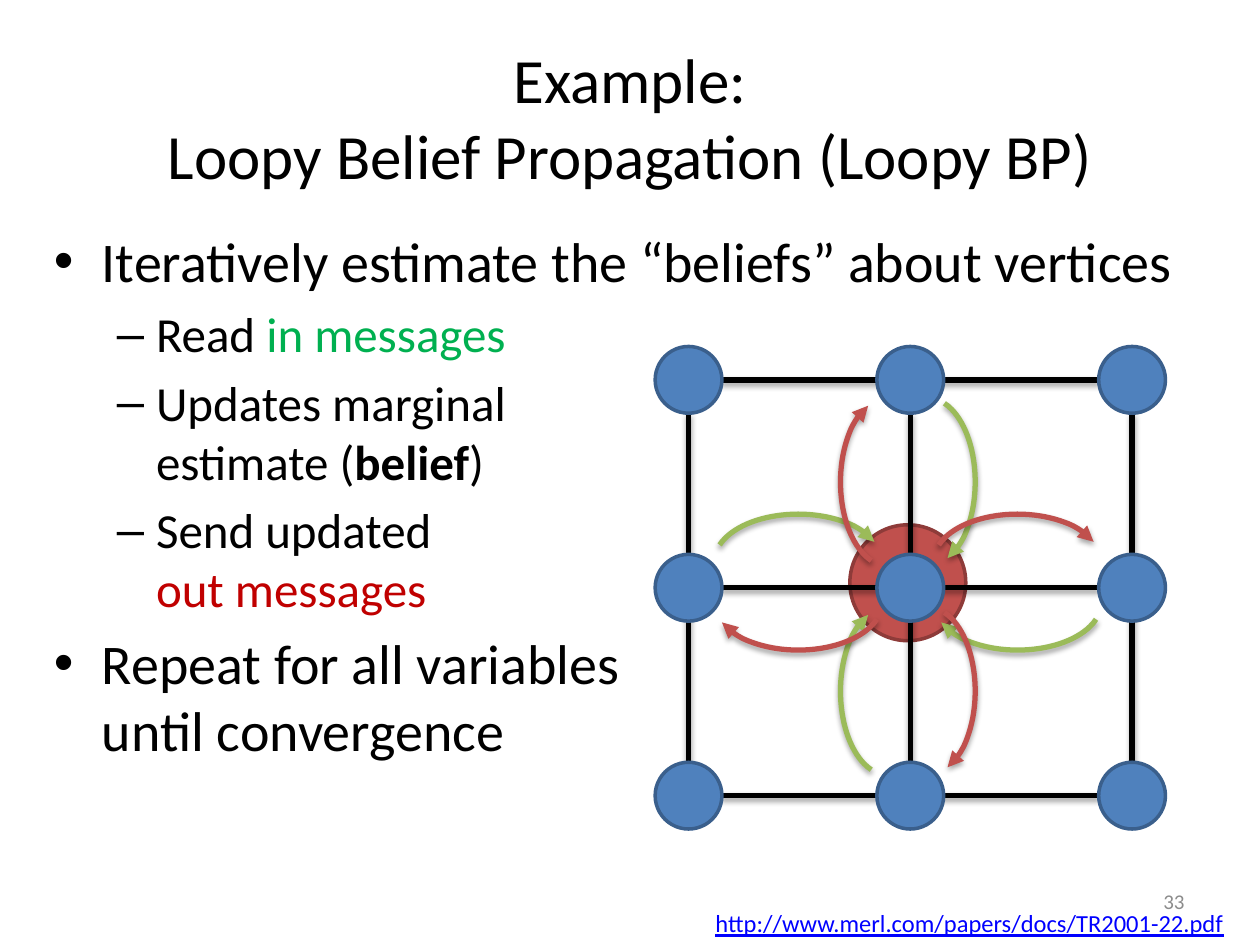
from lxml import etree
from pptx import Presentation
from pptx.dml.color import RGBColor
from pptx.enum import shapes as es, text as et
from pptx.oxml.ns import qn
from pptx.util import Emu, Inches, Pt

BLACK = RGBColor(0, 0, 0)
BLUE = RGBColor(0x4F, 0x81, 0xBD)
NAVY = RGBColor(0x3A, 0x5F, 0x8C)
RED = RGBColor(0xC0, 0x50, 0x4D)
DARK = RGBColor(0x8E, 0x3B, 0x39)
GREEN = RGBColor(0x9B, 0xBB, 0x59)
IN = RGBColor(0, 0xB0, 0x50)
OUT = RGBColor(0xC0, 0, 0)
GREY = RGBColor(0x8C, 0x8C, 0x8C)
LINK = RGBColor(0, 0, 0xFF)

FONT = "Calibri"
LEVELS = [("•", 0.38, 0.38, 32), ("–", 0.81, 0.31, 28)]  # mark, margin, hang, size


def write(para, text, size, color=BLACK, bold=False, underline=False):
    """Add text to a paragraph; a newline becomes a line break."""
    for i, line in enumerate(text.split("\n")):
        if i:
            para.add_line_break()
        if line:
            run = para.add_run()
            run.text = line
            font = run.font
            font.name, font.size = FONT, Pt(size)
            font.bold, font.underline = bold, underline
            font.color.rgb = color


def frame(slide, box, anchor=et.MSO_ANCHOR.TOP):
    tf = slide.shapes.add_textbox(*map(Inches, box)).text_frame
    tf.word_wrap = True
    tf.vertical_anchor = anchor
    return tf


def label(slide, box, text, size, align=et.PP_ALIGN.LEFT,
          anchor=et.MSO_ANCHOR.MIDDLE, **style):
    para = frame(slide, box, anchor).paragraphs[0]
    para.alignment = align
    write(para, text, size, **style)


def bullets(slide, box, items):
    tf = frame(slide, box)
    for i, (level, runs) in enumerate(items):
        para = tf.add_paragraph() if i else tf.paragraphs[0]
        mark, left, hang, size = LEVELS[level]
        para.level = level
        para.space_before = Pt(size * 0.2 if i else 0)
        props = para._p.get_or_add_pPr()
        props.set("marL", str(Inches(left)))
        props.set("indent", str(-Inches(hang)))
        etree.SubElement(props, qn("a:buFont"), typeface="Arial")
        etree.SubElement(props, qn("a:buChar"), char=mark)
        for text, style in runs:
            write(para, text, size, **style)


def shade(sppr):
    """Give a line or arc its soft shadow straight below."""
    effects = sppr.find(qn("a:effectLst"))
    if effects is None:
        effects = etree.SubElement(sppr, qn("a:effectLst"))
    drop = etree.SubElement(effects, qn("a:outerShdw"), blurRad=str(Pt(3.1)),
                            dist=str(Pt(1.8)), dir="5400000", rotWithShape="0")
    tint = etree.SubElement(drop, qn("a:srgbClr"), val="000000")
    etree.SubElement(tint, qn("a:alpha"), val="35000")


def edge(slide, x1, y1, x2, y2):
    line = slide.shapes.add_connector(
        es.MSO_CONNECTOR.STRAIGHT, *map(Inches, (x1, y1, x2, y2)))
    line.line.color.rgb = BLACK
    line.line.width = Pt(3)
    shade(line._element.spPr)


def disc(slide, x, y, size, fill, rim):
    """Draw a circle around its centre."""
    dot = slide.shapes.add_shape(
        es.MSO_SHAPE.OVAL, Inches(x - size / 2), Inches(y - size / 2),
        Inches(size), Inches(size))
    dot.shadow.inherit = False
    dot.fill.solid()
    dot.fill.fore_color.rgb = fill
    dot.line.color.rgb = rim
    dot.line.width = Pt(2)


def arrows(slide, hub, color, turns):
    """Draw one group of curved messages; turns maps a side to its rotation."""
    group = slide.shapes.add_group_shape()
    wide, high = 0.75, 1.33
    for (dx, dy), turn in turns.items():
        arc = group.shapes.add_shape(
            es.MSO_SHAPE.ARC, Inches(hub[0] + dx - wide / 2),
            Inches(hub[1] + dy - high / 2), Inches(wide), Inches(high))
        arc.adjustments[0], arc.adjustments[1] = 169.09, 45.37
        arc.rotation = turn
        arc.fill.background()
        arc.line.color.rgb = color
        arc.line.width = Pt(3)
        etree.SubElement(arc.line._get_or_add_ln(), qn("a:tailEnd"),
                         type="triangle")
        arc.shadow.inherit = False
        shade(arc._element.spPr)


def graph(slide, box, node=0.53, count=3):
    left, top, wide, high = box
    xs = [left + node / 2 + i * (wide - node) / (count - 1) for i in range(count)]
    ys = [top + node / 2 + i * (high - node) / (count - 1) for i in range(count)]
    hub = (xs[1] - 0.02, ys[1] - 0.04)
    rim = node / 2

    # Highlight, edges, then nodes
    disc(slide, *hub, 0.92, RED, DARK)
    for y in ys:
        edge(slide, xs[0] + rim, y, xs[-1] - rim, y)
    for x in xs:
        edge(slide, x, ys[0] + rim, x, ys[-1] - rim)
    for y in ys:
        for x in xs:
            disc(slide, x, y, node, BLUE, NAVY)

    # Messages in, then messages out
    arrows(slide, hub, GREEN, {(0.16, -0.8): 0, (0.87, 0.16): 90,
                               (-0.16, 0.86): 180, (-0.87, -0.17): 270})
    arrows(slide, hub, RED, {(0.16, 0.86): 0, (0.87, -0.17): 270,
                             (-0.87, 0.16): 90, (-0.16, -0.8): 180})


def main():
    deck = Presentation()
    deck.slide_width, deck.slide_height = Inches(10), Inches(7.5)
    slide = deck.slides.add_slide(deck.slide_layouts[6])

    label(slide, (0.5, 0.3, 9, 1.25),
          "Example:\nLoopy Belief Propagation (Loopy BP)", 36,
          align=et.PP_ALIGN.CENTER)
    bullets(slide, (0.33, 1.75, 9.25, 4.67), [
        (0, [("Iteratively estimate the “beliefs” about vertices", {})]),
        (1, [("Read ", {}), ("in messages", {"color": IN})]),
        (1, [("Updates marginal\nestimate (", {}), ("belief", {"bold": True}),
             (")", {})]),
        (1, [("Send updated\n", {}), ("out messages", {"color": OUT})]),
        (0, [("Repeat for all variables\nuntil convergence", {})]),
    ])
    graph(slide, (5.2, 2.75, 4.05, 3.83))

    # Page number and source
    label(slide, (7.17, 6.95, 2.33, 0.4), "33", 12,
          align=et.PP_ALIGN.RIGHT, color=GREY)
    label(slide, (5.58, 7.16, 4.42, 0.34),
          "http://www.merl.com/papers/docs/TR2001-22.pdf", 14,
          anchor=et.MSO_ANCHOR.TOP, color=LINK, underline=True)
    deck.save("out.pptx")


if __name__ == "__main__":
    main()
